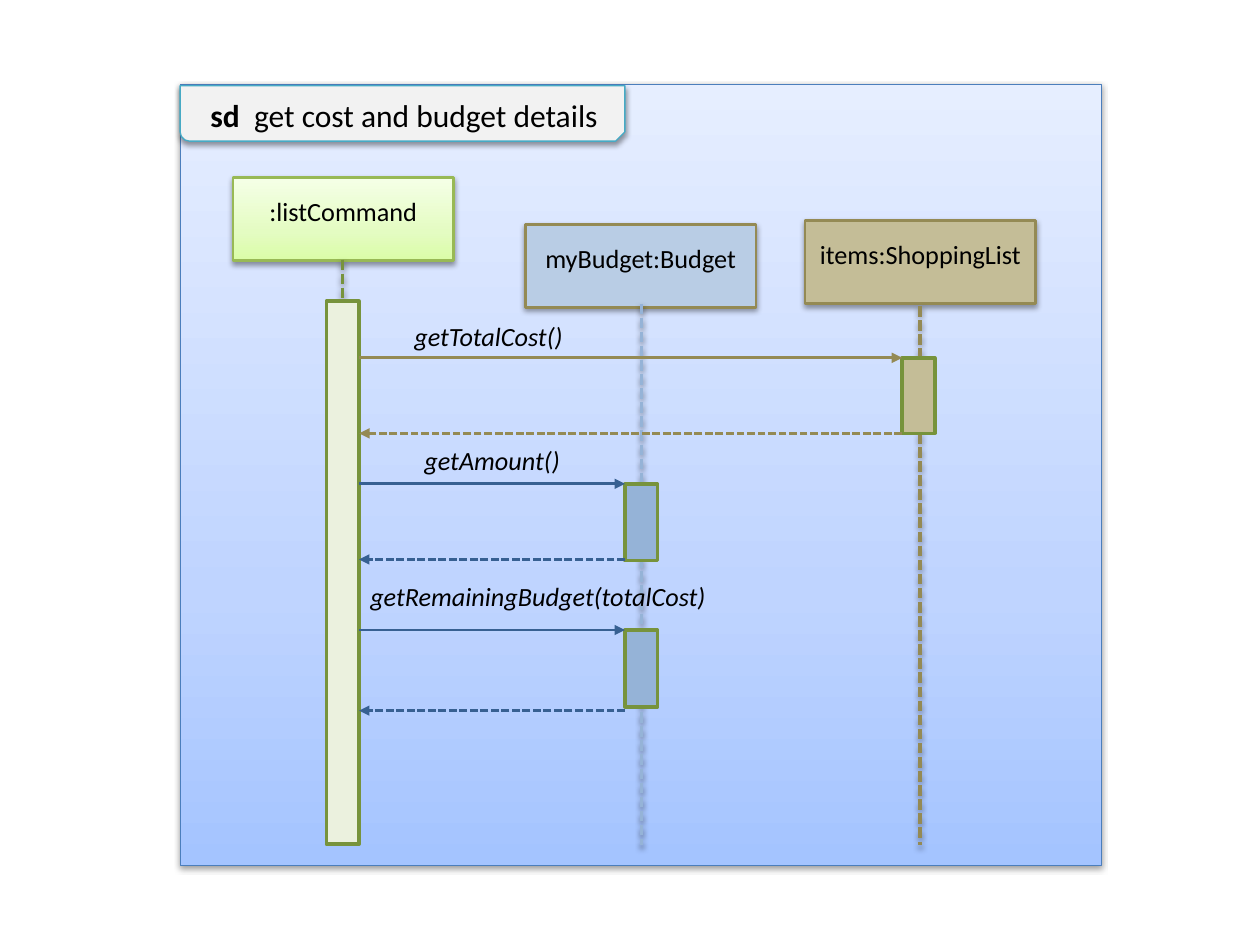
"""Sequence diagram showing how the list command gets cost and budget details."""
from copy import deepcopy

from lxml import etree
from pptx import Presentation
from pptx import util as u
from pptx.dml.color import RGBColor
from pptx.enum import dml, shapes, text
from pptx.oxml import parse_xml
from pptx.oxml.ns import nsdecls, qn

PX = u.Inches(1) // 100
THEME = {
    "font": "Calibri", "title": 18, "body": 15, "ink": "000000",
    "frame": ("A4C4FF", "BFD4FF", "E6EEFF"), "frame_line": "4B7EBC",
    "tab": "F2F2F2", "tab_line": "46AAC5",
    "command": ("DAFDA7", "E4FCC2", "F5FFE7"), "command_line": "98B955",
    "command_bar": "EBF1DE", "green": "77933C",
    "budget": "B9CDE5", "budget_bar": "95B3D7", "blue": "376092",
    "items": "C4BD97", "brown": "948A54",
}
SHADOW = (
    '<a:outerShdw blurRad="40000" dist="20000" dir="5400000" rotWithShape="0">'
    '<a:srgbClr val="000000"><a:alpha val="38000"/></a:srgbClr></a:outerShdw>'
)


def style(shape, line, width, fill=None, shadow=False, dashed=False, arrow=False):
    properties = shape._element.spPr
    if isinstance(fill, tuple):
        shape.fill.gradient()
        shape.fill.gradient_angle = 90
        stops = properties.find(".//" + qn("a:gsLst"))
        stops.append(deepcopy(stops[-1]))
        for stop, color, position in zip(shape.fill.gradient_stops, fill, (0, 0.35, 1)):
            stop.color.rgb = RGBColor.from_string(color)
            stop.position = position
    elif fill:
        shape.fill.solid()
        shape.fill.fore_color.rgb = RGBColor.from_string(fill)
    shape.line.color.rgb = RGBColor.from_string(line)
    shape.line.width = u.Pt(width)
    if dashed:
        shape.line.dash_style = dml.MSO_LINE.SQUARE_DOT
    if arrow:
        etree.SubElement(properties.find(qn("a:ln")), qn("a:tailEnd"), type="triangle")
    effects = SHADOW if shadow else ""
    properties.append(parse_xml(f"<a:effectLst {nsdecls('a')}>{effects}</a:effectLst>"))


def write(shape, runs, size, align, margins, wrap):
    frame = shape.text_frame
    settings = {
        "word_wrap": wrap, "auto_size": text.MSO_AUTO_SIZE.NONE,
        "vertical_anchor": text.MSO_ANCHOR.TOP,
        "margin_left": margins[0] * PX, "margin_right": margins[0] * PX,
        "margin_top": margins[1] * PX, "margin_bottom": margins[1] * PX,
    }
    for name, value in settings.items():
        setattr(frame, name, value)
    paragraph = frame.paragraphs[0]
    paragraph.alignment = align
    paragraph.space_before = u.Pt(0)
    for words, bold, italic in runs:
        run = paragraph.add_run()
        run.text = words
        font = {"name": THEME["font"], "size": u.Pt(size), "bold": bold, "italic": italic}
        for name, value in font.items():
            setattr(run.font, name, value)
        run.font.color.rgb = RGBColor.from_string(THEME["ink"])


presentation = Presentation()
presentation.slide_width, presentation.slide_height = 1000 * PX, 750 * PX
slide = presentation.slides.add_slide(presentation.slide_layouts[5])
RECTANGLE = shapes.MSO_SHAPE.RECTANGLE
STRAIGHT = shapes.MSO_CONNECTOR.STRAIGHT

frame_box = slide.shapes.add_shape(RECTANGLE, 143 * PX, 67 * PX, 731 * PX, 620 * PX)
style(frame_box, THEME["frame_line"], 0.75, THEME["frame"], shadow=True)

tab = slide.shapes.add_shape(
    shapes.MSO_SHAPE.SNIP_ROUND_RECTANGLE, 143 * PX, 68 * PX, 353 * PX, 44 * PX)
tab.rotation = 180
tab._element.spPr.xfrm.set("flipH", "1")
style(tab, THEME["tab_line"], 0.75, THEME["tab"], shadow=True)

title = slide.shapes.title
place = {"left": 157, "top": 71, "width": 459, "height": 77}
for side, length in place.items():
    setattr(title, side, length * PX)
write(title, [("sd ", True, False), (" get cost and budget details", False, False)],
      THEME["title"], text.PP_ALIGN.LEFT, (10, 5), True)
slide.shapes._spTree.append(title._element)

participants = [
    (":listCommand", 185, 141, 175, "command", "command_line"),
    ("myBudget:Budget", 417, 178, 183, "budget", "brown"),
    ("items:ShoppingList", 639, 175, 183, "items", "brown"),
]
for name, left, top, width, fill, line in participants:
    head = slide.shapes.add_shape(RECTANGLE, left * PX, top * PX, width * PX, 66 * PX)
    style(head, THEME[line], 1.5, THEME[fill], shadow=True)
    write(head, [(name, False, False)], THEME["body"], text.PP_ALIGN.CENTER, (10, 14), True)

lifelines = [(272, 206, 548, "green"), (509, 241, 671, "budget_bar"), (730, 243, 671, "brown")]
for x, top, bottom, color in lifelines:
    lifeline = slide.shapes.add_connector(STRAIGHT, x * PX, top * PX, x * PX, bottom * PX)
    style(lifeline, THEME[color], 2, shadow=True, dashed=True)

activations = [
    (259, 239, 431, "command_bar"), (716, 284, 60, "items"),
    (496, 384, 61, "budget_bar"), (496, 500, 61, "budget_bar"),
]
for left, top, height, fill in activations:
    bar = slide.shapes.add_shape(RECTANGLE, left * PX, top * PX, 26 * PX, height * PX)
    style(bar, THEME["green"], 2, THEME[fill])

calls = [
    ("getTotalCost()", 319, 249, 150, 716, 284, 344, "brown"),
    ("getAmount()", 327, 348, 130, 496, 384, 444, "blue"),
    ("getRemainingBudget(totalCost)", 284, 456, 291, 496, 500, 564, "blue"),
]
for name, left, top, width, target, call_y, reply_y, color in calls:
    for start, end, y, dashed in ((285, target, call_y, False), (target, 285, reply_y, True)):
        message = slide.shapes.add_connector(STRAIGHT, start * PX, y * PX, end * PX, y * PX)
        style(message, THEME[color], 1.5, dashed=dashed, arrow=True)
    label = slide.shapes.add_textbox(left * PX, top * PX, width * PX, 35 * PX)
    write(label, [(name, False, True)], THEME["body"], text.PP_ALIGN.LEFT, (10, 5), False)

presentation.save("out.pptx")
